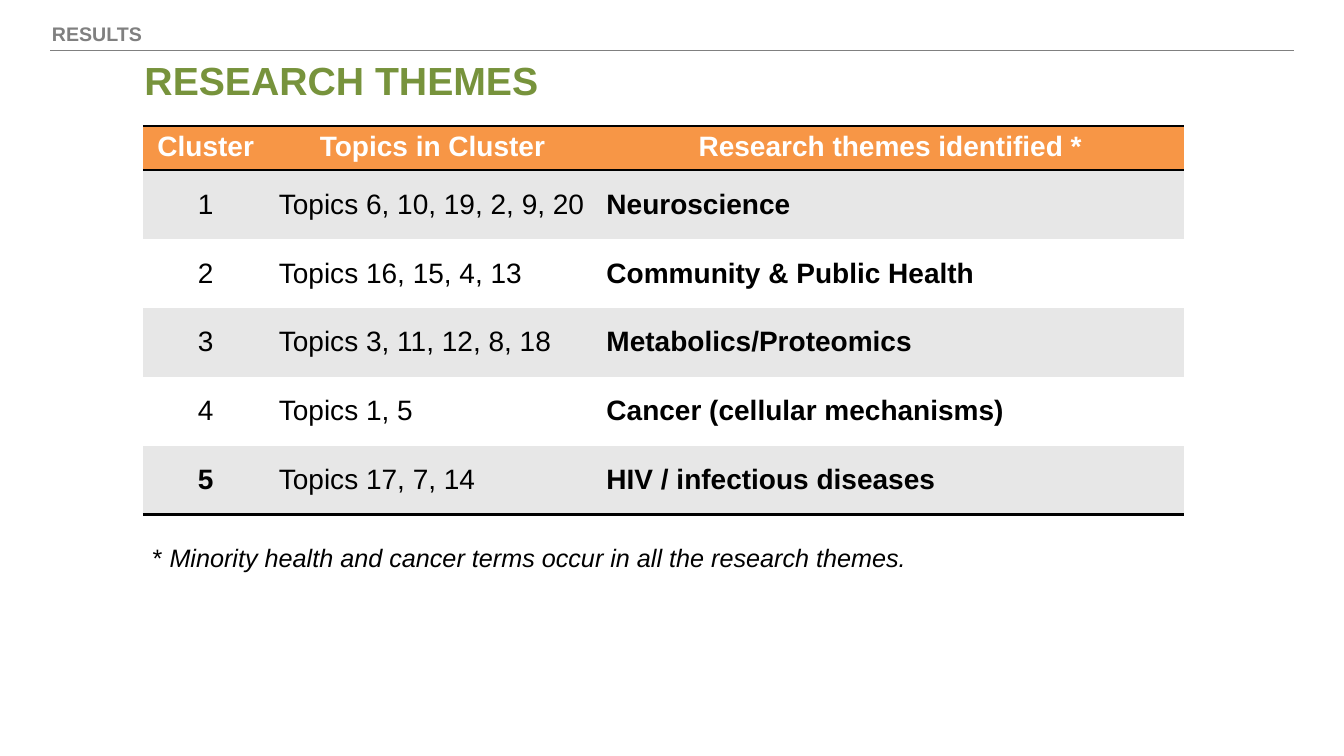
from lxml.etree import SubElement
from pptx import Presentation
from pptx.dml.color import RGBColor
from pptx.enum.shapes import MSO_CONNECTOR
from pptx.enum.text import MSO_ANCHOR, MSO_AUTO_SIZE, PP_ALIGN
from pptx.oxml import parse_xml
from pptx.oxml.ns import nsdecls, qn
from pptx.util import Pt

BLACK = RGBColor(0x00, 0x00, 0x00)
WHITE = RGBColor(0xFF, 0xFF, 0xFF)
GRAY = RGBColor(0x80, 0x80, 0x80)
BAND = RGBColor(0xE7, 0xE7, 0xE7)
GREEN = RGBColor(0x77, 0x93, 0x3C)
ORANGE = RGBColor(0xF7, 0x96, 0x46)

FONT = "Arial"
NO_STYLE = "{2D5ABB26-0587-4C30-8999-92F81FD0307C}"
HEADERS = ["Cluster", "Topics in Cluster", "Research themes identified *"]
CLUSTERS = [
    ("1", "Topics 6, 10, 19, 2, 9, 20", "Neuroscience"),
    ("2", "Topics 16, 15, 4, 13", "Community & Public Health"),
    ("3", "Topics 3, 11, 12, 8, 18", "Metabolics/Proteomics"),
    ("4", "Topics 1, 5", "Cancer (cellular mechanisms)"),
    ("5", "Topics 17, 7, 14", "HIV / infectious diseases"),
]
COL_WIDTHS = [90, 234, 420]
HEADER_HEIGHT, ROW_HEIGHT = 31.5, 49.2


def add_run(p, text, size=20, color=BLACK, bold=False, italic=False, align=PP_ALIGN.LEFT):
    p.alignment = align
    r = p.add_run()
    r.text = text
    r.font.name = FONT
    r.font.size = Pt(size)
    r.font.color.rgb = color
    r.font.bold = bold
    r.font.italic = italic


def add_text_box(s, left, top, width, height):
    tf = s.shapes.add_textbox(Pt(left), Pt(top), Pt(width), Pt(height)).text_frame
    tf.word_wrap = True
    tf.auto_size = MSO_AUTO_SIZE.SHAPE_TO_FIT_TEXT
    return tf.paragraphs[0]


def add_rule(s, x1, x2, y):
    line = s.shapes.add_connector(MSO_CONNECTOR.STRAIGHT, Pt(x1), Pt(y), Pt(x2), Pt(y))
    line.line.color.rgb = GRAY
    line.line.width = Pt(0.75)
    SubElement(line._element.spPr, qn("a:effectLst"))


def set_borders(cell, edges):
    # Borders come before the fill in the cell properties
    tc_pr = cell._tc.get_or_add_tcPr()
    for i, edge in enumerate(edges):
        tc_pr.insert(i, parse_xml(
            f'<a:ln{edge} {nsdecls("a")} w="{Pt(2)}"><a:solidFill>'
            f'<a:srgbClr val="{BLACK}"/></a:solidFill></a:ln{edge}>'))


def fill_cell(cell, text, fill, anchor=MSO_ANCHOR.MIDDLE, edges="", **fmt):
    cell.fill.solid()
    cell.fill.fore_color.rgb = fill
    cell.vertical_anchor = anchor
    add_run(cell.text_frame.paragraphs[0], text, **fmt)
    set_borders(cell, edges)


def add_cluster_table(s, left, top):
    n = len(CLUSTERS)
    frame = s.shapes.add_table(n + 1, len(HEADERS), Pt(left), Pt(top),
                               Pt(sum(COL_WIDTHS)), Pt(HEADER_HEIGHT + n * ROW_HEIGHT))
    table = frame.table
    table.horz_banding = False
    table._tbl.tblPr.find(qn("a:tableStyleId")).text = NO_STYLE
    for col, width in zip(table.columns, COL_WIDTHS):
        col.width = Pt(width)
    for i, row in enumerate(table.rows):
        row.height = Pt(ROW_HEIGHT if i else HEADER_HEIGHT)

    # Header row
    for c, text in enumerate(HEADERS):
        fill_cell(table.cell(0, c), text, ORANGE, MSO_ANCHOR.TOP, "TB",
                  color=WHITE, bold=True, align=PP_ALIGN.CENTER)

    # Banded cluster rows, closed by a bottom border
    for i, cluster in enumerate(CLUSTERS, start=1):
        last = i == n
        for c, text in enumerate(cluster):
            fill_cell(table.cell(i, c), text, BAND if i % 2 else WHITE,
                      edges="B" if last else "",
                      bold=c == 2 or (last and c == 0),
                      align=PP_ALIGN.LEFT if c else PP_ALIGN.CENTER)


def set_title(s, text):
    title = s.shapes.title
    title.left, title.top, title.width, title.height = Pt(96), Pt(33), Pt(762), Pt(48)
    tf = title.text_frame
    tf.vertical_anchor = MSO_ANCHOR.MIDDLE
    add_run(tf.paragraphs[0], text, size=28, color=GREEN, bold=True)


def main():
    prs = Presentation()
    prs.slide_width, prs.slide_height = Pt(960), Pt(540)
    s = prs.slides.add_slide(prs.slide_layouts[5])

    # Section header and title
    add_rule(s, 36, 924, 36)
    add_run(add_text_box(s, 30, 12, 576, 24.5), "RESULTS", size=14, color=GRAY, bold=True)
    set_title(s, "RESEARCH THEMES")

    # Table and footnote
    add_cluster_table(s, 102, 90)
    p = add_text_box(s, 102, 384, 744, 29)
    add_run(p, "* ", size=18)
    add_run(p, "Minority health and cancer terms occur in all the research themes.",
            size=18, italic=True)

    prs.save("out.pptx")


if __name__ == "__main__":
    main()
